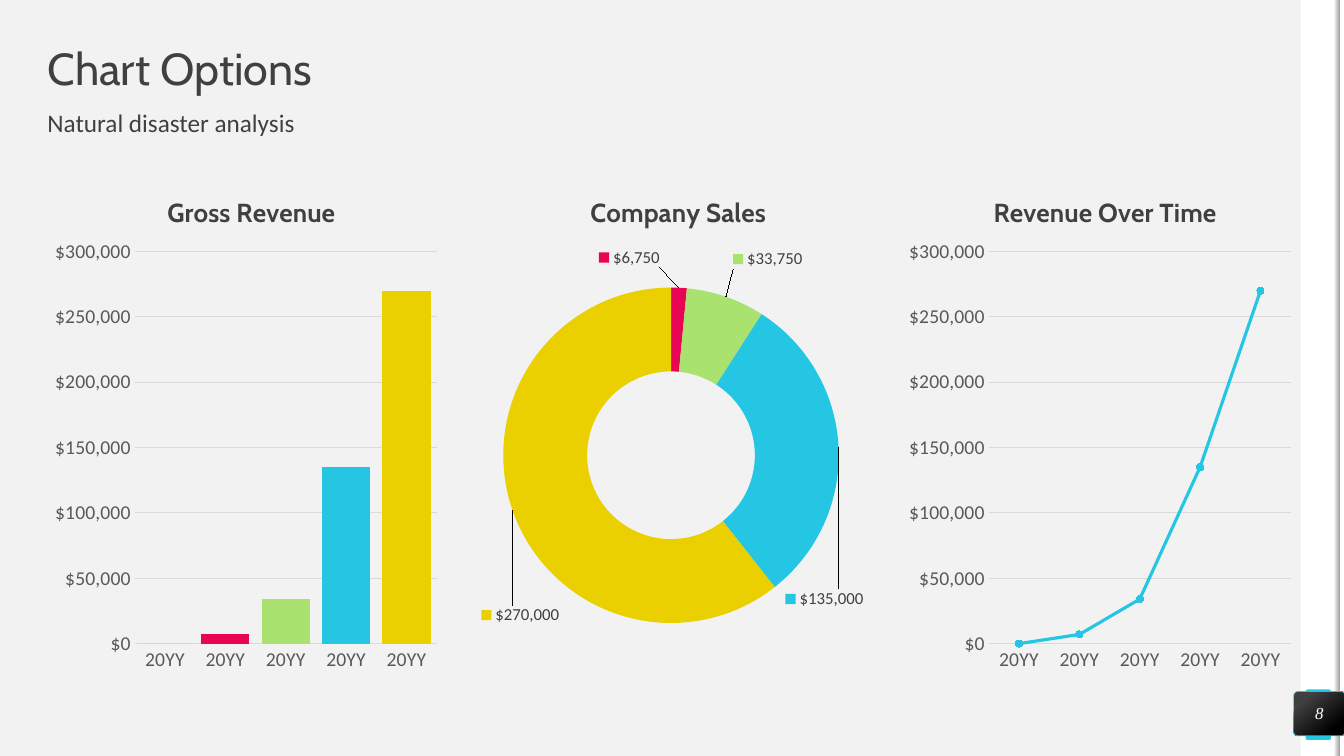
from dataclasses import dataclass
from typing import Optional

from pptx import Presentation
from pptx.chart.chart import Chart
from pptx.chart.data import CategoryChartData
from pptx.dml.color import RGBColor
from pptx.enum.chart import XL_CHART_TYPE, XL_MARKER_STYLE, XL_TICK_MARK
from pptx.enum.shapes import MSO_SHAPE
from pptx.enum.text import MSO_ANCHOR, MSO_AUTO_SIZE, PP_ALIGN
from pptx.oxml import parse_xml
from pptx.oxml.ns import nsdecls, qn
from pptx.util import Inches, Pt


@dataclass(frozen=True)
class Theme:
    background: str = "F2F2F2"
    white: str = "FFFFFF"
    black: str = "000000"
    text: str = "404040"
    axis_text: str = "595959"
    grid: str = "D9D9D9"
    shade: str = "A6A6A6"
    red: str = "E80554"
    green: str = "A9E26F"
    blue: str = "25C6E3"
    yellow: str = "EAD000"
    heading_font: str = "Cabin"
    body_font: str = "Calibri"
    number_font: str = "Times New Roman"
    title_size: float = 32
    subtitle_size: float = 18
    chart_title_size: float = 18.6
    axis_size: float = 14
    label_size: float = 12
    chart_size: float = 10


@dataclass(frozen=True)
class Box:
    """Position and size in percent of the slide."""
    left: float
    top: float
    width: float
    height: float

    def place(self) -> tuple:
        return (int(WIDTH * self.left / 100), int(HEIGHT * self.top / 100),
                int(WIDTH * self.width / 100), int(HEIGHT * self.height / 100))


@dataclass(frozen=True)
class Panel:
    """One chart; the layouts are shares of the chart's own size."""
    title: str
    kind: XL_CHART_TYPE
    categories: tuple
    values: tuple
    title_left: float
    plot: tuple


@dataclass(frozen=True)
class Decoration:
    kind: MSO_SHAPE
    box: Box
    colors: tuple
    stops: tuple = (0, 1)
    angle: float = 0
    rounding: Optional[float] = None
    outline: Optional[str] = None


THEME = Theme()
WIDTH, HEIGHT = Inches(13.33), Inches(7.5)
MONEY = "[$$-409]#,##0"
MARGIN, COLUMN_STEP, COLUMN_WIDTH = 3.53, 31.77, 29.56
CHART_TOP, CHART_HEIGHT = 22, 68.27
POINT_COLORS = (THEME.green, THEME.red, THEME.green, THEME.blue, THEME.yellow)
# Shift of each doughnut label from its ring segment, by point
LABEL_SHIFTS = {1: (-0.12, -0.14), 2: (0.14, -0.15), 3: (0.07, 0.29), 4: (-0.08, 0.23)}

YEARS = ("20YY",) * 5
REVENUE = (0, 7000, 34000, 135000, 270000)
SALES = (0, 6750, 33750, 135000, 270000)
AXIS_PLOT = (0.22, 0.165, 0.76, 0.76)
PANELS = (
    Panel("Gross Revenue", XL_CHART_TYPE.COLUMN_CLUSTERED, YEARS, REVENUE, 0.29, AXIS_PLOT),
    Panel("Company Sales", XL_CHART_TYPE.DOUGHNUT, ("1", "2", "3", "4", "5"), SALES,
          0.28, (0.07, 0.235, 0.85, 0.65)),
    Panel("Revenue Over Time", XL_CHART_TYPE.LINE_MARKERS_STACKED, YEARS, REVENUE,
          0.22, AXIS_PLOT),
)
BADGE = Decoration(MSO_SHAPE.ROUNDED_RECTANGLE, Box(96.25, 91.47, 3.83, 5.87),
                   (THEME.text, THEME.black), (0.2, 0.82), 310, 0.095, THEME.blue)
EDGE = (
    Decoration(MSO_SHAPE.RECTANGLE, Box(96.77, 0, 2.93, 100), (THEME.white,)),
    Decoration(MSO_SHAPE.ROUNDED_RECTANGLE, Box(97.15, 91.2, 1.88, 6.67),
               (THEME.blue,), rounding=0.074),
    Decoration(MSO_SHAPE.RECTANGLE, Box(99.66, 0, 0.34, 100), (THEME.white,)),
    Decoration(MSO_SHAPE.RECTANGLE, Box(99.29, 0, 0.38, 100), (THEME.background, THEME.shade)),
)


def rgb(color: str) -> RGBColor:
    return RGBColor.from_string(color)


def format_font(font, name: str, size: float, color: str, bold=False, italic=False) -> None:
    font.name, font.size, font.bold, font.italic = name, Pt(size), bold, italic
    font.color.rgb = rgb(color)


def fill_solid(target, color: str) -> None:
    target.fill.solid()
    target.fill.fore_color.rgb = rgb(color)


def write_text(shape, text: str, font: tuple, align=PP_ALIGN.LEFT,
               anchor=MSO_ANCHOR.MIDDLE, italic=False) -> None:
    frame = shape.text_frame
    frame.text = text
    frame.word_wrap, frame.auto_size = True, MSO_AUTO_SIZE.NONE
    frame.vertical_anchor = anchor
    frame.margin_left = frame.margin_top = frame.margin_right = frame.margin_bottom = 0
    paragraph = frame.paragraphs[0]
    paragraph.alignment, paragraph.line_spacing = align, 0.9
    format_font(paragraph.runs[0].font, *font, italic=italic)


def add_decoration(slide, item: Decoration):
    shape = slide.shapes.add_shape(item.kind, *item.box.place())
    shape.shadow.inherit = False
    if item.rounding is not None:
        shape.adjustments[0] = item.rounding
    if len(item.colors) == 1:
        fill_solid(shape, item.colors[0])
    else:
        shape.fill.gradient()
        shape.fill.gradient_angle = item.angle
        for stop, color, position in zip(shape.fill.gradient_stops, item.colors, item.stops):
            stop.color.rgb, stop.position = rgb(color), position
    if item.outline:
        shape.line.color.rgb, shape.line.width = rgb(item.outline), Pt(0.5)
    else:
        shape.line.fill.background()
    return shape


def layout_xml(*shares: float, target: str = "", edge: bool = True):
    inner = f'<c:layoutTarget val="{target}"/>' if target else ""
    names = ("x", "y", "w", "h")[:len(shares)]
    if edge:
        inner += '<c:xMode val="edge"/><c:yMode val="edge"/>'
    inner += "".join(f'<c:{name} val="{share}"/>' for name, share in zip(names, shares))
    return parse_xml(f'<c:layout {nsdecls("c")}><c:manualLayout>{inner}</c:manualLayout></c:layout>')


def set_layout(parent, index: int, layout) -> None:
    for existing in parent.findall(qn("c:layout")):
        parent.remove(existing)
    parent.insert(index, layout)


def format_axes(chart: Chart) -> None:
    for axis in (chart.category_axis, chart.value_axis):
        axis.major_tick_mark = axis.minor_tick_mark = XL_TICK_MARK.NONE
        format_font(axis.tick_labels.font, THEME.body_font, THEME.axis_size, THEME.axis_text)
    values = chart.value_axis
    values.minimum_scale, values.maximum_scale, values.major_unit = 0, 300000, 50000
    values.tick_labels.number_format = MONEY
    values.tick_labels.number_format_is_linked = False
    values.format.line.fill.background()
    for line in (chart.category_axis.format.line, values.major_gridlines.format.line):
        line.color.rgb, line.width = rgb(THEME.grid), Pt(0.75)


def add_ring_labels(series) -> None:
    flags = "".join(f'<c:show{name} val="{shown}"/>' for name, shown in (
        ("LegendKey", 1), ("Val", 1), ("CatName", 0), ("SerName", 0),
        ("Percent", 0), ("BubbleSize", 0)))
    style = (f'<c:numFmt formatCode="{MONEY}" sourceLinked="0"/><c:spPr><a:noFill/></c:spPr>'
             f'<c:txPr><a:bodyPr/><a:p><a:pPr><a:defRPr sz="{THEME.label_size * 100}">'
             f'<a:solidFill><a:srgbClr val="{THEME.text}"/></a:solidFill>'
             f'<a:latin typeface="{THEME.body_font}"/></a:defRPr></a:pPr></a:p></c:txPr>{flags}')
    labels = parse_xml(f'<c:dLbls {nsdecls("c", "a")}><c:dLbl><c:idx val="0"/>'
                       f'<c:delete val="1"/></c:dLbl>' + "".join(
                           f'<c:dLbl><c:idx val="{index}"/>{style}</c:dLbl>'
                           for index in LABEL_SHIFTS) + f"{style}</c:dLbls>")
    for label, shift in zip(labels.findall(qn("c:dLbl"))[1:], LABEL_SHIFTS.values()):
        label.insert(1, layout_xml(*shift, edge=False))
    series._element.find(qn("c:cat")).addprevious(labels)


def add_panel(slide, panel: Panel, column: int) -> None:
    data = CategoryChartData()
    data.categories = panel.categories
    data.add_series("Series 1", panel.values)
    box = Box(MARGIN + column * COLUMN_STEP, CHART_TOP, COLUMN_WIDTH, CHART_HEIGHT)
    chart = slide.shapes.add_chart(panel.kind, *box.place(), data).chart
    format_font(chart.font, THEME.body_font, THEME.chart_size, THEME.black)
    chart.has_legend = False
    chart.has_title = True
    title = chart.chart_title
    title.text_frame.text = panel.title
    format_font(title.text_frame.paragraphs[0].runs[0].font, THEME.heading_font,
                THEME.chart_title_size, THEME.text, bold=True)
    set_layout(title.element, 1, layout_xml(panel.title_left, 0.045))
    plot_area = chart._chartSpace.find(".//" + qn("c:plotArea"))
    set_layout(plot_area, 0, layout_xml(*panel.plot, target="inner"))
    plot, series = chart.plots[0], chart.plots[0].series[0]

    if panel.kind == XL_CHART_TYPE.LINE_MARKERS_STACKED:
        series.smooth = False
        series.format.line.color.rgb, series.format.line.width = rgb(THEME.blue), Pt(2.25)
        series.marker.style, series.marker.size = XL_MARKER_STYLE.CIRCLE, 5
        fill_solid(series.marker.format, THEME.blue)
        series.marker.format.line.color.rgb = rgb(THEME.blue)
    else:
        for index, color in enumerate(POINT_COLORS):
            fill_solid(series.points[index].format, color)
    if panel.kind == XL_CHART_TYPE.DOUGHNUT:
        plot._element.find(qn("c:holeSize")).set("val", "84")
        add_ring_labels(series)
    else:
        plot.vary_by_categories = False
        format_axes(chart)
    if panel.kind == XL_CHART_TYPE.COLUMN_CLUSTERED:
        plot.gap_width = 25
        fill_solid(series.format, THEME.green)


def main() -> None:
    presentation = Presentation()
    presentation.slide_width, presentation.slide_height = WIDTH, HEIGHT
    slide = presentation.slides.add_slide(presentation.slide_layouts[5])
    fill_solid(slide.background, THEME.background)

    # Right edge
    for item in EDGE:
        add_decoration(slide, item)

    # Title and subtitle
    title = slide.shapes.title
    title.left, title.top, title.width, title.height = Box(MARGIN, 6.27, 93.02, 6.27).place()
    write_text(title, "Chart Options", (THEME.heading_font, THEME.title_size, THEME.text))
    subtitle = slide.shapes.add_textbox(*Box(MARGIN, 14.67, 93.02, 5.2).place())
    write_text(subtitle, "Natural disaster analysis",
               (THEME.body_font, THEME.subtitle_size, THEME.text), anchor=MSO_ANCHOR.TOP)

    # Slide number
    write_text(add_decoration(slide, BADGE), "8",
               (THEME.number_font, THEME.label_size, THEME.white), PP_ALIGN.CENTER, italic=True)

    # Charts
    for column, panel in enumerate(PANELS):
        add_panel(slide, panel, column)
    presentation.save("out.pptx")


if __name__ == "__main__":
    main()
